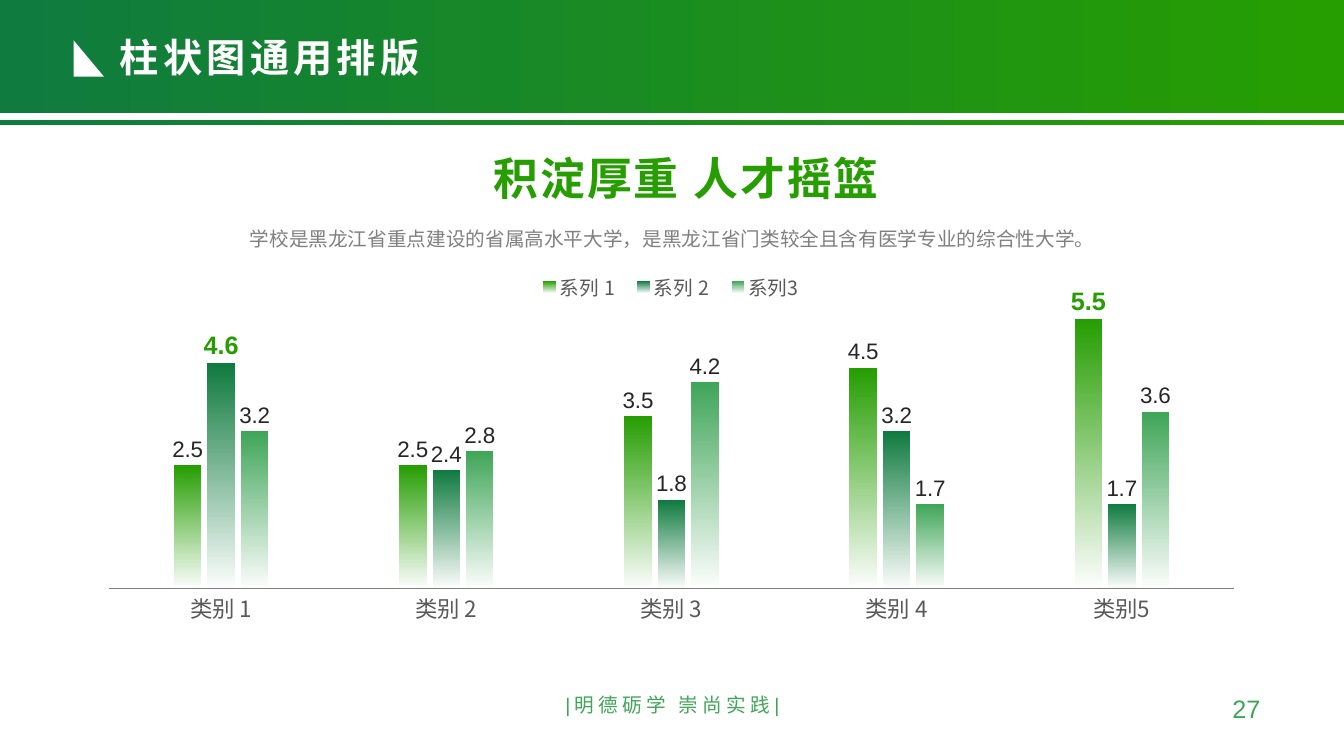
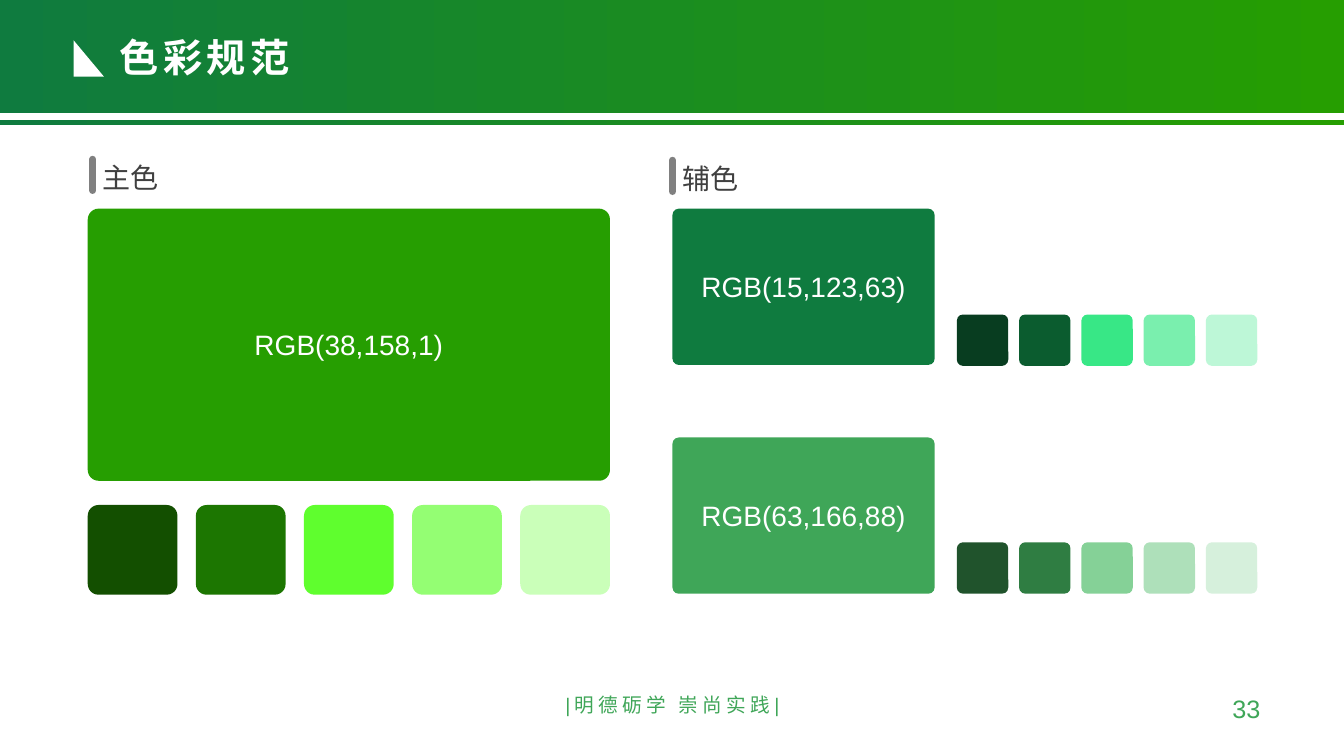
from dataclasses import dataclass
from typing import Optional

from lxml.etree import SubElement
from pptx import Presentation
from pptx.chart.data import CategoryChartData
from pptx.dml.color import RGBColor
from pptx.enum.chart import XL_CHART_TYPE, XL_LABEL_POSITION, XL_LEGEND_POSITION, XL_TICK_MARK
from pptx.enum.shapes import MSO_CONNECTOR, MSO_SHAPE
from pptx.enum.text import MSO_ANCHOR, MSO_AUTO_SIZE, PP_ALIGN
from pptx.oxml.ns import qn
from pptx.util import Inches, Pt

LATIN, CHINESE = "Arial", "Noto Sans CJK SC"
MAIN, DEEP, SOFT = "269E01", "0F7B3F", "3FA658"
WHITE, GREY = "FFFFFF", "808080"
FOOTER = "|明德砺学 崇尚实践|"


@dataclass(frozen=True)
class TextStyle:
    size: int
    color: str
    name: str = CHINESE
    bold: bool = False
    spacing: float = 0
    end_color: Optional[str] = None


@dataclass(frozen=True)
class Frame:
    left: float
    top: float
    width: float
    height: float

    def lengths(self) -> tuple:
        return tuple(Inches(n) for n in (self.left, self.top, self.width, self.height))


@dataclass(frozen=True)
class Series:
    name: str
    values: tuple
    color: str
    highlight: Optional[int] = None


@dataclass(frozen=True)
class Palette:
    card: Frame
    color: str
    label: str
    swatch_left: float
    swatch_top: float
    swatch_size: float
    row_width: float
    shades: tuple


TITLE = TextStyle(28, WHITE, bold=True, spacing=3)
HEADING = TextStyle(32, MAIN, bold=True, spacing=1.5, end_color=DEEP)
BODY = TextStyle(14, GREY)
SECTION = TextStyle(20, "404040")
CARD = TextStyle(20, WHITE, LATIN)
FOOTER_STYLE = TextStyle(14, SOFT, LATIN, spacing=3)
NUMBER_STYLE = TextStyle(18, SOFT, LATIN)
CHART_BASE = TextStyle(10, "000000", LATIN)
AXIS_TEXT = TextStyle(16, "595959")
LEGEND_TEXT = TextStyle(14, "595959")
VALUE_TEXT = TextStyle(16, "262626", LATIN)
VALUE_HIGHLIGHT = TextStyle(18, MAIN, LATIN, bold=True)

CATEGORIES = ("类别 1", "类别 2", "类别 3", "类别 4", "类别5")
SERIES = (
    Series("系列 1", (2.5, 2.5, 3.5, 4.5, 5.5), MAIN, 4),
    Series("系列 2", (4.6, 2.4, 1.8, 3.2, 1.7), DEEP, 0),
    Series("系列3", (3.2, 2.8, 4.2, 1.7, 3.6), SOFT),
)
PALETTES = (
    Palette(Frame(0.87, 2.07, 5.18, 2.7), MAIN, "RGB(38,158,1)", 0.87, 5.01, 0.89, 5.18,
            ("134F00", "1C7601", "5FFE2E", "94FE73", "CAFFB9")),
    Palette(Frame(6.67, 2.07, 2.6, 1.55), DEEP, "RGB(15,123,63)", 9.49, 3.12, 0.51, 2.98,
            ("083D20", "0B5C2F", "38E786", "7AEFAE", "BDF7D7")),
    Palette(Frame(6.67, 4.34, 2.6, 1.55), SOFT, "RGB(63,166,88)", 9.49, 5.38, 0.51, 2.98,
            ("20532C", "2F7D42", "85D197", "AEE0BA", "D6F0DC")),
)


def rgb(color: str) -> RGBColor:
    return RGBColor.from_string(color)


def paint(fill, color: str, end_color: Optional[str] = None, angle: int = 90) -> None:
    """Fill solid, or with a gradient whose angle runs clockwise."""
    if end_color is None:
        fill.solid()
        fill.fore_color.rgb = rgb(color)
        return
    fill.gradient()
    fill.gradient_angle = (360 - angle) % 360
    for stop, stop_color in zip(fill.gradient_stops, (color, end_color)):
        stop.color.rgb = rgb(stop_color)


def style_font(font, style: TextStyle) -> None:
    font.size = Pt(style.size)
    font.bold = style.bold
    font.name = style.name
    paint(font.fill, style.color, style.end_color)
    element = font._element
    SubElement(element, qn("a:ea")).set("typeface", CHINESE)
    if style.spacing:
        element.set("spc", str(round(style.spacing * 100)))


def write(shape, text: str, style: TextStyle, align=PP_ALIGN.LEFT, anchor=MSO_ANCHOR.TOP,
          inset: bool = True, line_spacing: Optional[float] = None) -> None:
    text_frame = shape.text_frame
    text_frame.text = text
    text_frame.word_wrap = True
    text_frame.auto_size = MSO_AUTO_SIZE.NONE
    text_frame.vertical_anchor = anchor
    if not inset:
        text_frame.margin_left = text_frame.margin_right = 0
        text_frame.margin_top = text_frame.margin_bottom = 0
    para = text_frame.paragraphs[0]
    para.alignment = align
    if line_spacing:
        para.line_spacing = line_spacing
    style_font(para.font, style)


def add_text(page, frame: Frame, text: str, style: TextStyle, **options) -> None:
    write(page.shapes.add_textbox(*frame.lengths()), text, style, **options)


def add_block(page, kind, frame: Frame, color: str, end_color: Optional[str] = None,
              adjustment: Optional[float] = None):
    block = page.shapes.add_shape(kind, *frame.lengths())
    block.shadow.inherit = False
    block.line.fill.background()
    paint(block.fill, color, end_color, angle=180)
    if adjustment is not None:
        block.adjustments[0] = adjustment
    return block


def dress_layout(page) -> None:
    """Put the header band, rule and triangle on the layout of the page."""
    band = add_block(page, MSO_SHAPE.RECTANGLE, Frame(0, 0, 13.33, 1.12), MAIN, DEEP)
    triangle = add_block(page, MSO_SHAPE.ISOSCELES_TRIANGLE, Frame(0.7, 0.43, 0.36, 0.3),
                         WHITE, adjustment=1)
    triangle.rotation = 90
    rule = add_block(page, MSO_SHAPE.RECTANGLE, Frame(0, 1.19, 13.33, 0.05), MAIN, DEEP)
    layout_tree = page.slide_layout.shapes.element
    for index, shape in enumerate((band, triangle, rule)):
        shape.element.nvSpPr.cNvPr.set("id", str(101 + index))
        layout_tree.insert(2 + index, shape.element)


def add_page(deck, title: str, number: int):
    page = deck.slides.add_slide(deck.slide_layouts[5])
    box = page.shapes.title
    box.left, box.top, box.width, box.height = Frame(1.19, 0.33, 8.72, 0.47).lengths()
    write(box, title, TITLE, inset=False)
    add_text(page, Frame(9.42, 6.83, 3.18, 0.4), str(number), NUMBER_STYLE, align=PP_ALIGN.RIGHT)
    add_text(page, Frame(4.42, 6.83, 4.5, 0.4), FOOTER, FOOTER_STYLE, align=PP_ALIGN.CENTER)
    return page


def set_chart_layout(parent, index: int, frame: Frame, inner: bool = False) -> None:
    """Place a chart part by fractions of the chart's size."""
    for old in parent.findall(qn("c:layout")):
        parent.remove(old)
    layout = parent.makeelement(qn("c:layout"))
    parent.insert(index, layout)
    manual = SubElement(layout, qn("c:manualLayout"))
    settings = [("layoutTarget", "inner")] if inner else []
    settings += [("xMode", "edge"), ("yMode", "edge"), ("x", frame.left), ("y", frame.top),
                 ("w", frame.width), ("h", frame.height)]
    for tag, value in settings:
        SubElement(manual, qn(f"c:{tag}")).set("val", str(value))


def style_series(series, content: Series) -> None:
    paint(series.format.fill, content.color, content.color)
    end_stop = series._element.find(qn("c:spPr")).findall(".//" + qn("a:srgbClr"))[-1]
    SubElement(end_stop, qn("a:alpha")).set("val", "0")
    series.invert_if_negative = False
    labels = series.data_labels
    labels.show_value = True
    labels.position = XL_LABEL_POSITION.OUTSIDE_END
    style_font(labels.font, VALUE_TEXT)
    if content.highlight is not None:
        label = series.points[content.highlight].data_label
        style_font(label.font, VALUE_HIGHLIGHT)
        label.position = XL_LABEL_POSITION.OUTSIDE_END


def add_column_chart(page) -> None:
    data = CategoryChartData()
    data.categories = CATEGORIES
    for content in SERIES:
        data.add_series(content.name, content.values)
    frame = Frame(0.72, 2.58, 11.88, 3.83)
    chart = page.shapes.add_chart(XL_CHART_TYPE.COLUMN_CLUSTERED, *frame.lengths(), data).chart
    chart.has_title = False
    style_font(chart.font, CHART_BASE)

    plot = chart.plots[0]
    plot.gap_width, plot.overlap = 500, -27
    plot.vary_by_categories = False
    for series, content in zip(plot.series, SERIES):
        style_series(series, content)

    axis = chart.category_axis
    axis.major_tick_mark = axis.minor_tick_mark = XL_TICK_MARK.NONE
    axis.format.line.color.rgb = rgb(GREY)
    axis.format.line.width = Pt(0.75)
    style_font(axis.tick_labels.font, AXIS_TEXT)
    values = chart.value_axis
    values.minimum_scale, values.maximum_scale = 0, 6
    values.has_major_gridlines = False
    values.visible = False

    chart.has_legend = True
    chart.legend.position = XL_LEGEND_POSITION.BOTTOM
    chart.legend.include_in_layout = False
    style_font(chart.legend.font, LEGEND_TEXT)
    root = chart.element
    set_chart_layout(root.find(".//" + qn("c:plotArea")), 0, Frame(0.03, 0.09, 0.94, 0.76), True)
    set_chart_layout(root.find(".//" + qn("c:legend")), 1, Frame(0.38, 0.02, 0.24, 0.1))


def add_section_label(page, left: float, top: float, text: str) -> None:
    x = Inches(left)
    bar = page.shapes.add_connector(MSO_CONNECTOR.STRAIGHT, x, Inches(top + 0.04),
                                    x, Inches(top + 0.35))
    bar.line.color.rgb = rgb(GREY)
    bar.line.width = Pt(5)
    properties = bar.element.spPr
    properties.find(qn("a:ln")).set("cap", "rnd")
    SubElement(properties, qn("a:effectLst"))
    add_text(page, Frame(left, top, 0.94, 0.44), text, SECTION, anchor=MSO_ANCHOR.MIDDLE)


def add_palette(page, palette: Palette) -> None:
    card = add_block(page, MSO_SHAPE.ROUNDED_RECTANGLE, palette.card, palette.color,
                     adjustment=0.04)
    write(card, palette.label, CARD, align=PP_ALIGN.CENTER, anchor=MSO_ANCHOR.MIDDLE)
    size = palette.swatch_size
    pitch = (palette.row_width - size) / (len(palette.shades) - 1)
    for column, shade in enumerate(palette.shades):
        frame = Frame(palette.swatch_left + column * pitch, palette.swatch_top, size, size)
        add_block(page, MSO_SHAPE.ROUNDED_RECTANGLE, frame, shade, adjustment=0.12)


def build_chart_page(deck) -> None:
    page = add_page(deck, "柱状图通用排版", 27)
    dress_layout(page)
    add_column_chart(page)
    add_text(page, Frame(2.44, 2.13, 8.46, 0.45),
             "学校是黑龙江省重点建设的省属高水平大学，是黑龙江省门类较全且含有医学专业的综合性大学。",
             BODY, align=PP_ALIGN.CENTER, inset=False, line_spacing=1.5)
    add_text(page, Frame(4.61, 1.43, 4.11, 0.66), "积淀厚重 人才摇篮", HEADING,
             align=PP_ALIGN.RIGHT, anchor=MSO_ANCHOR.MIDDLE, inset=False)


def build_color_page(deck) -> None:
    page = add_page(deck, "色彩规范", 33)
    add_section_label(page, 0.92, 1.54, "主色")
    add_section_label(page, 6.67, 1.55, "辅色")
    for palette in PALETTES:
        add_palette(page, palette)


def main() -> None:
    deck = Presentation()
    deck.slide_width, deck.slide_height = Inches(13.33), Inches(7.5)
    build_chart_page(deck)
    build_color_page(deck)
    deck.save("out.pptx")


if __name__ == "__main__":
    main()
